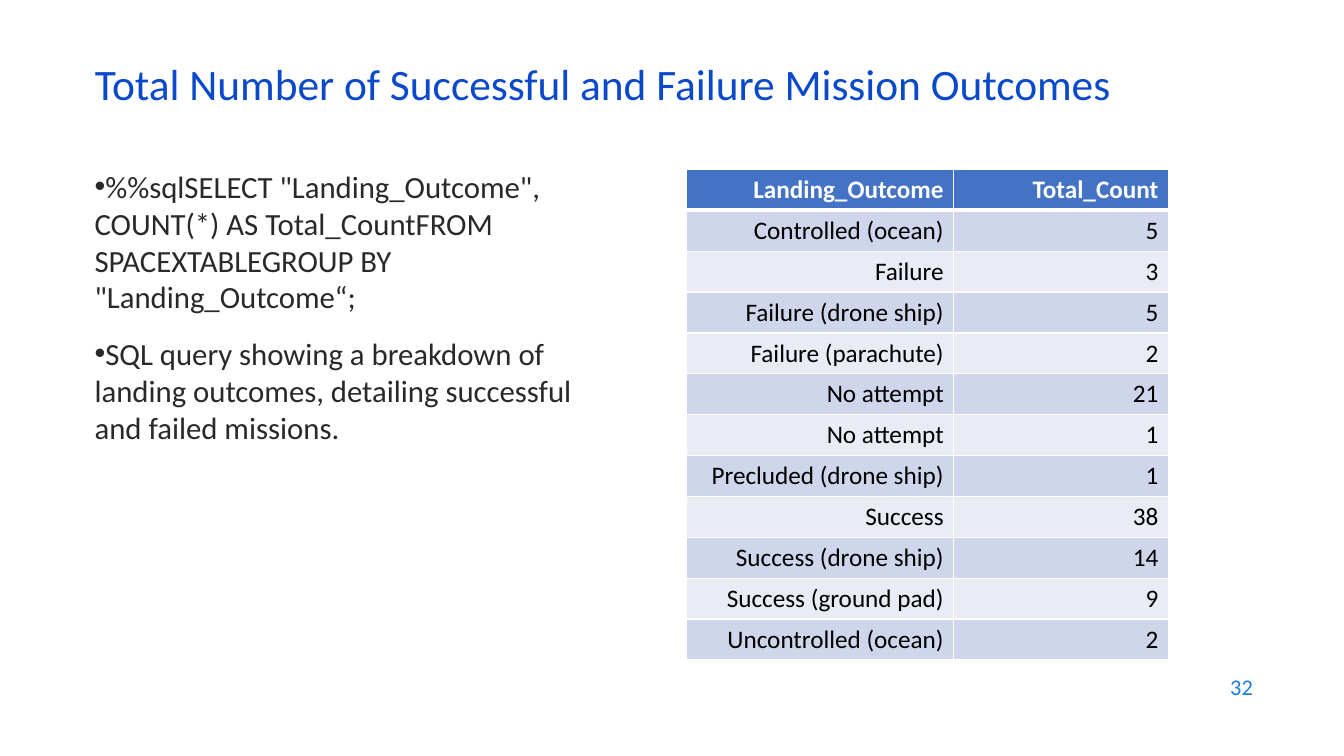
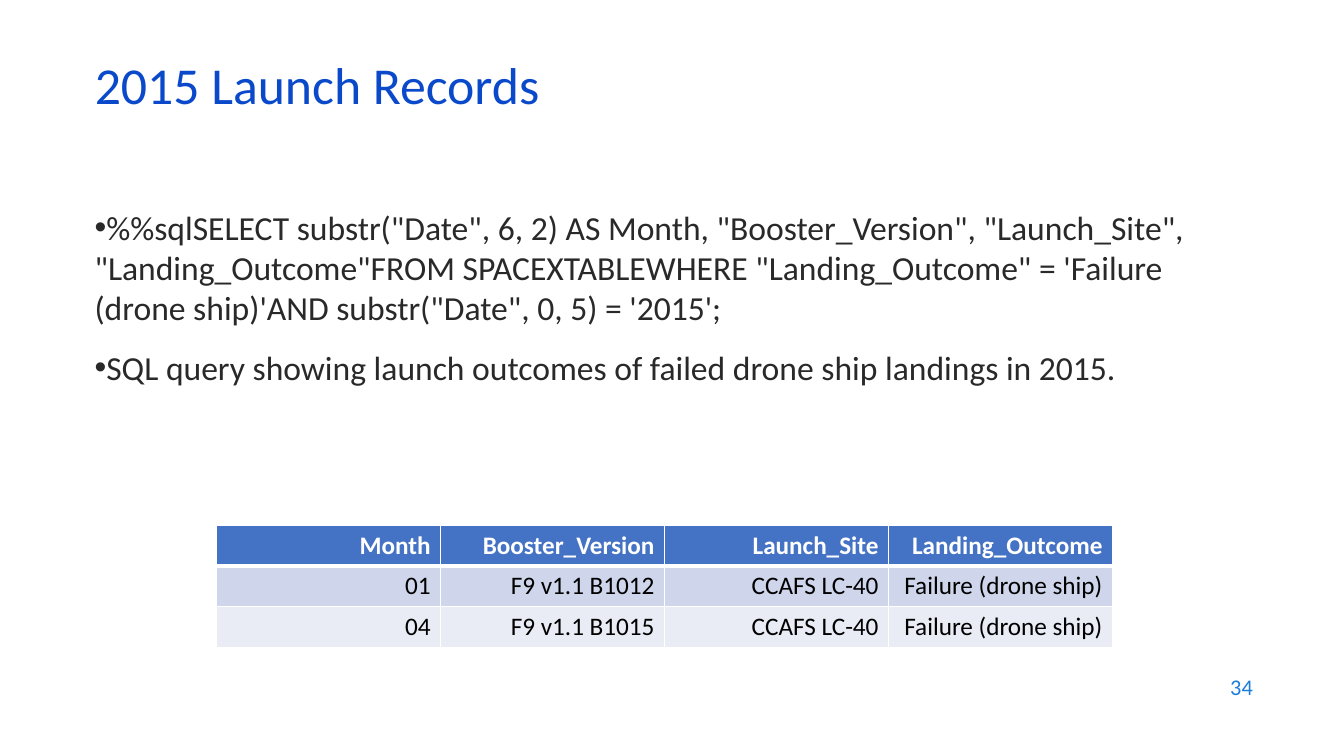
import lxml.etree
import pptx
import pptx.dml.color
import pptx.enum.text
import pptx.oxml.ns
import pptx.util

Pt = pptx.util.Pt
RGBColor = pptx.dml.color.RGBColor
PP_ALIGN = pptx.enum.text.PP_ALIGN
MSO_ANCHOR = pptx.enum.text.MSO_ANCHOR
qn = pptx.oxml.ns.qn

TITLE_BLUE = RGBColor(0x0B, 0x49, 0xCB)
NUMBER_BLUE = RGBColor(0x1C, 0x7D, 0xDB)
TEXT_GREY = RGBColor(0x29, 0x29, 0x29)
HEADER_BLUE = RGBColor(0x44, 0x72, 0xC4)
BANDS = (RGBColor(0xCF, 0xD5, 0xEA), RGBColor(0xE9, 0xEB, 0xF5))
WHITE = RGBColor(0xFF, 0xFF, 0xFF)
BLACK = RGBColor(0x00, 0x00, 0x00)

FONT = "Calibri"
LEFT, WIDTH = 60.5, 828
ROW_HEIGHT = 29.2

TITLE_FORMAT = {"color": TITLE_BLUE}
BODY_FORMAT = {"color": TEXT_GREY}
NUMBER_FORMAT = {"size": Pt(16), "color": NUMBER_BLUE}
HEADER_FORMAT = {"size": Pt(18), "bold": True, "color": WHITE}
CELL_FORMAT = {"size": Pt(18), "bold": False, "color": BLACK}


def add_run(p, text, formats):
    r = p.add_run()
    r.text = text
    r.font.name = FONT
    for name, value in formats.items():
        if name == "color":
            r.font.color.rgb = value
        else:
            setattr(r.font, name, value)


def add_text_box(s, left, top, width, height):
    sp = s.shapes.add_textbox(Pt(left), Pt(top), Pt(width), Pt(height))
    sp.text_frame.word_wrap = True
    return sp.text_frame


def add_slide(prs, title, size, line_spacing, number):
    """Add a slide with its title and page number."""
    s = prs.slides.add_slide(prs.slide_layouts[5])
    sp = s.shapes.title
    sp.left, sp.top, sp.width, sp.height = Pt(LEFT), Pt(42.5), Pt(WIDTH), Pt(43)
    tf = sp.text_frame
    tf.auto_size = pptx.enum.text.MSO_AUTO_SIZE.NONE
    tf.vertical_anchor = MSO_ANCHOR.MIDDLE
    p = tf.paragraphs[0]
    p.alignment = PP_ALIGN.LEFT
    p.line_spacing = line_spacing
    add_run(p, title, {"size": Pt(size), **TITLE_FORMAT})

    tf = add_text_box(s, 686, 474.5, 216, 31.7)
    tf.vertical_anchor = MSO_ANCHOR.MIDDLE
    p = tf.paragraphs[0]
    p.alignment = PP_ALIGN.RIGHT
    add_run(p, str(number), NUMBER_FORMAT)
    return s


def add_bullets(s, texts, top, width, height, size):
    tf = add_text_box(s, LEFT, top, width, height)
    for i, text in enumerate(texts):
        p = tf.add_paragraph() if i else tf.paragraphs[0]
        pPr = p._p.get_or_add_pPr()
        pPr.set("marL", "0")
        pPr.set("indent", "0")
        lxml.etree.SubElement(pPr, qn("a:buFont")).set("typeface", "Arial")
        lxml.etree.SubElement(pPr, qn("a:buChar")).set("char", "•")
        if i:
            p.space_before = Pt(14)
        add_run(p, text, {"size": Pt(size), **BODY_FORMAT})


def set_borders(cell, top, bottom):
    """Draw white cell borders; top and bottom are widths in points."""
    tcPr = cell._tc.get_or_add_tcPr()
    widths = {"a:lnL": 1, "a:lnR": 1, "a:lnT": top, "a:lnB": bottom}
    for i, (tag, width) in enumerate(widths.items()):
        ln = lxml.etree.Element(qn(tag), w=str(Pt(width)))
        fill = lxml.etree.SubElement(ln, qn("a:solidFill"))
        lxml.etree.SubElement(fill, qn("a:srgbClr")).set("val", str(WHITE))
        tcPr.insert(i, ln)


def add_table(s, rows, left, top, col_widths):
    """Add a right-aligned table with a header row and banded rows."""
    table = s.shapes.add_table(
        len(rows), len(col_widths), Pt(left), Pt(top),
        Pt(sum(col_widths)), Pt(ROW_HEIGHT * len(rows))).table
    for column, width in zip(table.columns, col_widths):
        column.width = Pt(width)
    for i, values in enumerate(rows):
        table.rows[i].height = Pt(ROW_HEIGHT)
        for j, value in enumerate(values):
            cell = table.cell(i, j)
            cell.vertical_anchor = MSO_ANCHOR.MIDDLE
            cell.fill.solid()
            cell.fill.fore_color.rgb = BANDS[(i - 1) % 2] if i else HEADER_BLUE
            set_borders(cell, 3 if i == 1 else 1, 1 if i else 3)
            p = cell.text_frame.paragraphs[0]
            p.alignment = PP_ALIGN.RIGHT
            add_run(p, value, CELL_FORMAT if i else HEADER_FORMAT)


def main():
    prs = pptx.Presentation()
    prs.slide_width, prs.slide_height = Pt(960), Pt(540)

    s = add_slide(prs, "Total Number of Successful and Failure Mission Outcomes",
                  31, 0.7, 32)
    add_bullets(s, [
        '%%sqlSELECT "Landing_Outcome", COUNT(*) AS Total_CountFROM '
        'SPACEXTABLEGROUP BY "Landing_Outcome“;',
        "SQL query showing a breakdown of landing outcomes, detailing "
        "successful and failed missions.",
    ], 116, 362, 358.5, 22)
    add_table(s, [
        ("Landing_Outcome", "Total_Count"),
        ("Controlled (ocean)", "5"),
        ("Failure", "3"),
        ("Failure (drone ship)", "5"),
        ("Failure (parachute)", "2"),
        ("No attempt", "21"),
        ("No attempt", "1"),
        ("Precluded (drone ship)", "1"),
        ("Success", "38"),
        ("Success (drone ship)", "14"),
        ("Success (ground pad)", "9"),
        ("Uncontrolled (ocean)", "2"),
    ], 490.5, 121, (190.8, 153.4))

    s = add_slide(prs, "2015 Launch Records", 37, 0.8, 34)
    add_bullets(s, [
        '%%sqlSELECT substr("Date", 6, 2) AS Month, "Booster_Version", '
        '"Launch_Site", "Landing_Outcome"FROM SPACEXTABLEWHERE '
        '"Landing_Outcome" = \'Failure (drone ship)\'AND '
        'substr("Date", 0, 5) = \'2015\';',
        "SQL query showing launch outcomes of failed drone ship landings in 2015.",
    ], 144, WIDTH, 220, 24)
    add_table(s, [
        ("Month", "Booster_Version", "Launch_Site", "Landing_Outcome"),
        ("01", "F9 v1.1 B1012", "CCAFS LC-40", "Failure (drone ship)"),
        ("04", "F9 v1.1 B1015", "CCAFS LC-40", "Failure (drone ship)"),
    ], 154.8, 375, (160,) * 4)

    prs.save("out.pptx")


if __name__ == "__main__":
    main()
